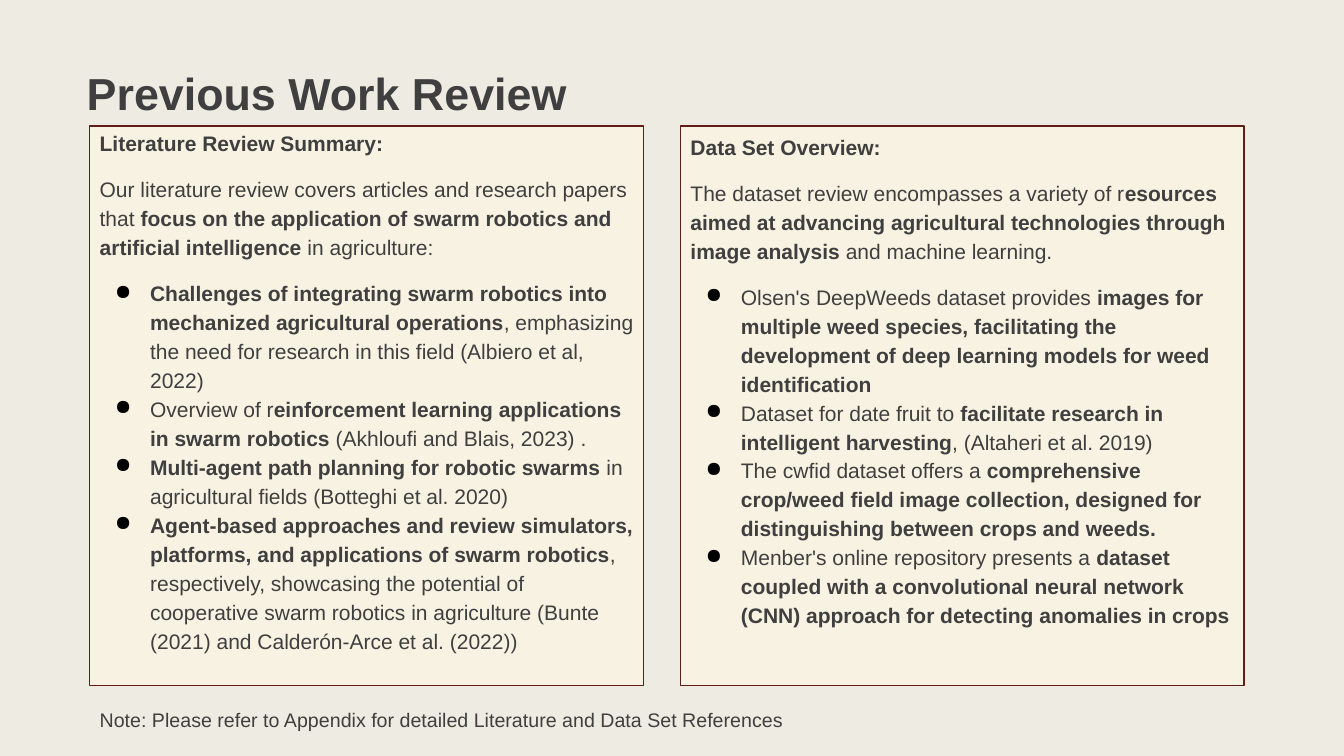
from pptx import Presentation
from pptx.dml.color import RGBColor as RGB
from pptx.enum.shapes import MSO_SHAPE as Shape
from pptx.enum.text import MSO_ANCHOR as Anchor, MSO_AUTO_SIZE as Fit, PP_ALIGN as Align
from pptx.oxml import parse_xml
from pptx.oxml.ns import nsdecls
from pptx.util import Inches, Pt

INK = RGB(0x3F, 0x3F, 0x3F)
PAPER = RGB(0xEE, 0xEB, 0xE2)
CREAM = RGB(0xF8, 0xF2, 0xE2)
MAROON = RGB(0x60, 0x1E, 0x17)

STUDIES = [
    "**Challenges of integrating swarm robotics into mechanized agricultural operations**"
    ", emphasizing the need for research in this field (Albiero et al, 2022)",
    "Overview of r**einforcement learning applications in swarm robotics **"
    "(Akhloufi and Blais, 2023) .",
    "**Multi-agent path planning for robotic swarms** in agricultural fields "
    "(Botteghi et al. 2020)",
    "**Agent-based approaches and review simulators, platforms, and applications of "
    "swarm robotics**, respectively, showcasing the potential of cooperative swarm "
    "robotics in agriculture (Bunte (2021) and Calderón-Arce et al. (2022))",
]
DATA = [
    "Olsen's DeepWeeds dataset provides **images for multiple weed species, "
    "facilitating the development of deep learning models for weed identification**",
    "Dataset for date fruit to **facilitate research in intelligent harvesting**"
    ", (Altaheri et al. 2019)",
    "The cwfid dataset offers a **comprehensive crop/weed field image collection, "
    "designed for distinguishing between crops and weeds.**",
    "Menber's online repository presents a **dataset coupled with a convolutional "
    "neural network (CNN) approach for detecting anomalies in crops**",
]


class Deck:
    font = "Arial"
    space = 1.15

    def __init__(self):
        self.prs = Presentation()
        self.prs.slide_width = Inches(13.33)
        self.prs.slide_height = Inches(7.5)
        self.slide = self.prs.slides.add_slide(self.prs.slide_layouts[5])
        fill = self.slide.background.fill
        fill.solid()
        fill.fore_color.rgb = PAPER

    def frame(self, shape, left, top, right, bottom):
        frame = shape.text_frame
        frame.word_wrap = True
        frame.auto_size = Fit.NONE
        frame.vertical_anchor = Anchor.TOP
        frame.margin_left, frame.margin_top = Inches(left), Inches(top)
        frame.margin_right, frame.margin_bottom = Inches(right), Inches(bottom)
        return frame

    def add_runs(self, para, text, size):
        para.alignment = Align.LEFT
        for i, part in enumerate(text.split("**")):
            if part:
                run = para.add_run()
                run.text = part
                run.font.name = self.font
                run.font.size = Pt(size)
                run.font.bold = i % 2 == 1
                run.font.color.rgb = INK

    def bullet(self, para):
        props = para._p.get_or_add_pPr()
        props.set("marL", str(Inches(0.5)))
        props.set("indent", str(Inches(-0.35)))
        ns = nsdecls("a")
        props.append(parse_xml(f'<a:buClr {ns}><a:srgbClr val="000000"/></a:buClr>'))
        props.append(parse_xml(f'<a:buChar {ns} char="●"/>'))

    def title(self, text):
        shape = self.slide.shapes.title
        shape.left, shape.top = Inches(0.74), Inches(0.48)
        shape.width, shape.height = Inches(11.67), Inches(0.65)
        frame = self.frame(shape, 0.12, 0.17, 0.12, 0.1)
        self.add_runs(frame.paragraphs[0], f"**{text}**", 32)

    def panel(self, left, width, head, intro, items, lead=None):
        shape = self.slide.shapes.add_shape(
            Shape.RECTANGLE, Inches(left), Inches(1.25), Inches(width), Inches(5.55))
        shape.shadow.inherit = False
        shape.fill.solid()
        shape.fill.fore_color.rgb = CREAM
        shape.line.color.rgb = MAROON
        shape.line.width = Pt(1)
        frame = self.frame(shape, 0.1, 0.05, 0.1, 0.05)
        first = frame.paragraphs[0]
        first.line_spacing = lead
        self.add_runs(first, f"**{head}**", 15)
        for i, text in enumerate([intro] + items):
            para = frame.add_paragraph()
            if i > 0:
                self.bullet(para)
            para.line_spacing = self.space
            para.space_before = Pt(12 if i < 2 else 0)
            self.add_runs(para, text, 15)

    def note(self, text):
        box = self.slide.shapes.add_textbox(
            Inches(0.89), Inches(6.92), Inches(10.23), Inches(0.37))
        frame = self.frame(box, 0.1, 0.1, 0.1, 0.1)
        self.add_runs(frame.paragraphs[0], text, 14)


def main():
    deck = Deck()
    deck.title("Previous Work Review")
    deck.panel(
        0.89, 5.49, "Literature Review Summary:",
        "Our literature review covers articles and research papers that **focus on the "
        "application of swarm robotics and artificial intelligence** in agriculture:",
        STUDIES)
    deck.panel(
        6.75, 5.59, "Data Set Overview:",
        "The dataset review encompasses a variety of r**esources aimed at advancing "
        "agricultural technologies through image analysis** and machine learning.",
        DATA, deck.space)
    deck.note("Note: Please refer to Appendix for detailed Literature and Data Set References")
    deck.prs.save("out.pptx")


if __name__ == "__main__":
    main()
